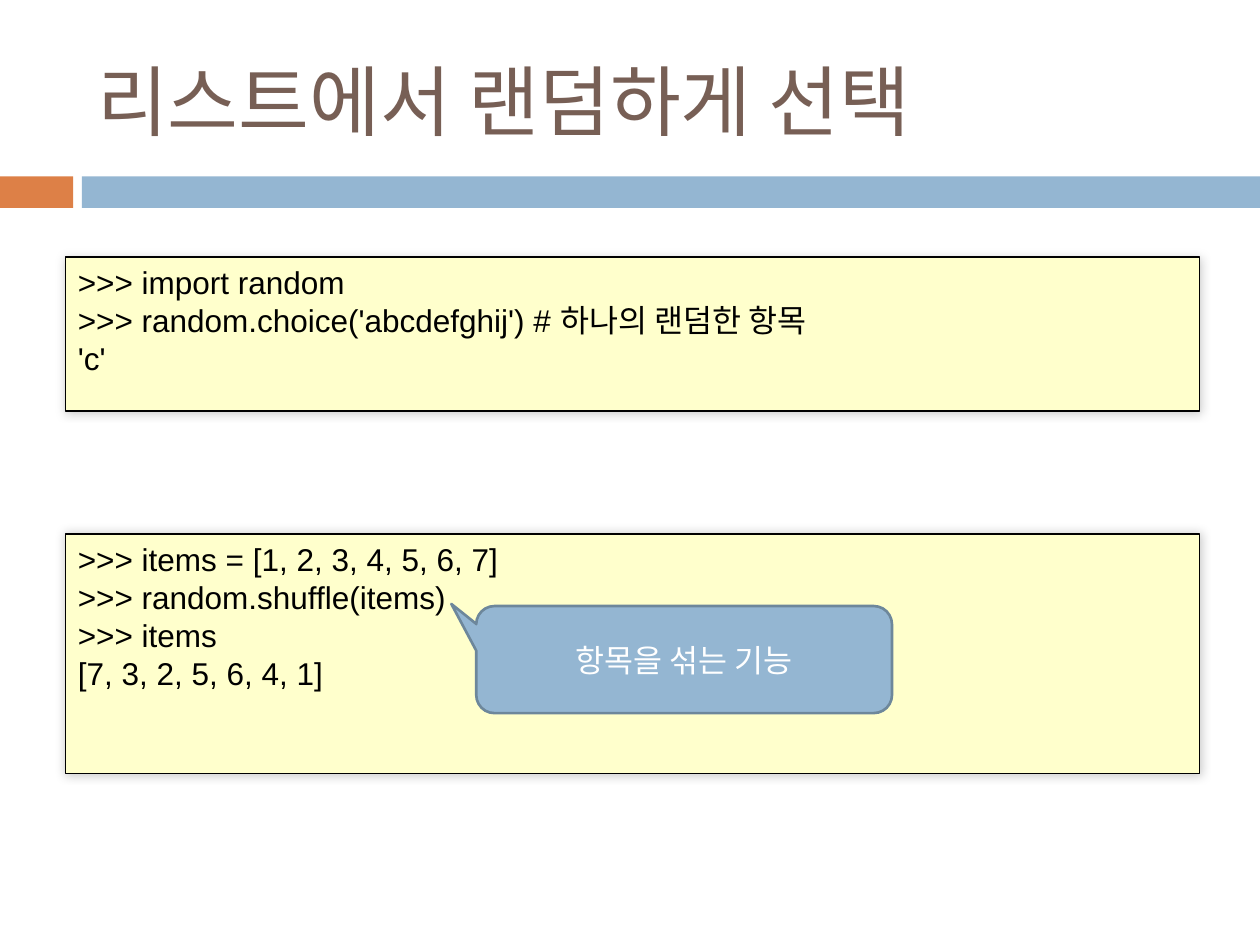
from lxml import etree
from pptx import Presentation
from pptx.dml.color import RGBColor
from pptx.enum.shapes import MSO_SHAPE
from pptx.enum.text import MSO_ANCHOR, PP_ALIGN
from pptx.oxml.ns import qn
from pptx.util import Inches, Pt

RECT = MSO_SHAPE.RECTANGLE
CALLOUT = MSO_SHAPE.ROUNDED_RECTANGULAR_CALLOUT
TOP, MIDDLE = MSO_ANCHOR.TOP, MSO_ANCHOR.MIDDLE
LEFT, CENTER = PP_ALIGN.LEFT, PP_ALIGN.CENTER

TITLE = "리스트에서 랜덤하게 선택"
BARS = [
    (0, 0.58, "DD8047"),
    (0.65, 9.35, "94B6D2"),
]
CODES = [
    (2.04, 1.22, [
        ">>> import random",
        ">>> random.choice('abcdefghij') # 하나의 랜덤한 항목",
        "'c'",
    ]),
    (4.24, 1.9, [
        ">>> items = [1, 2, 3, 4, 5, 6, 7]",
        ">>> random.shuffle(items)",
        ">>> items",
        "[7, 3, 2, 5, 6, 4, 1]",
    ]),
]
NOTE = "항목을 섞는 기능"
TAIL = (-0.56, -0.52, 0.17)


def color(code):
    return RGBColor.from_string(code)


def write(shape, lines, font, size, ink, align=LEFT, anchor=TOP):
    frame = shape.text_frame
    frame.word_wrap = True
    frame.vertical_anchor = anchor
    frame.text = "\n".join(lines)
    for para in frame.paragraphs:
        para.alignment = align
        para.font.name = font
        para.font.size = Pt(size)
        para.font.color.rgb = color(ink)


def draw(slide, kind, place, fill, line=None, width=1):
    shape = slide.shapes.add_shape(kind, *map(Inches, place))
    shape.fill.solid()
    shape.fill.fore_color.rgb = color(fill)
    if line:
        shape.line.color.rgb = color(line)
        shape.line.width = Pt(width)
    else:
        shape.line.fill.background()
    shape.shadow.inherit = False
    return shape


def shade(shape):
    effects = shape._element.spPr.find(qn("a:effectLst"))
    outer = etree.SubElement(effects, qn("a:outerShdw"), blurRad=str(Pt(6)),
                             dist="0", dir=str(315 * 60000))
    tint = etree.SubElement(outer, qn("a:srgbClr"), val="000000")
    etree.SubElement(tint, qn("a:alpha"), val="20000")


def main():
    deck = Presentation()
    deck.slide_width, deck.slide_height = Inches(10), Inches(7.5)
    slide = deck.slides.add_slide(deck.slide_layouts[5])

    for left, width, fill in BARS:
        draw(slide, RECT, (left, 1.4, width, 0.25), fill)

    title = slide.shapes.title
    title.left, title.top = Inches(0.67), Inches(0.25)
    title.width, title.height = Inches(8.92), Inches(1.08)
    write(title, [TITLE], "Calibri", 44, "775F55", anchor=MIDDLE)

    for top, height, lines in CODES:
        box = draw(slide, RECT, (0.52, top, 9, height), "FFFFCC", "000000")
        shade(box)
        write(box, lines, "Arial", 18, "000000")

    note = draw(slide, CALLOUT, (3.78, 4.81, 3.3, 0.85),
                "94B6D2", "6D879B", 1.5)
    for index, value in enumerate(TAIL):
        note.adjustments[index] = value
    write(note, [NOTE], "Lato", 18, "FFFFFF", CENTER, MIDDLE)

    deck.save("out.pptx")


if __name__ == "__main__":
    main()
